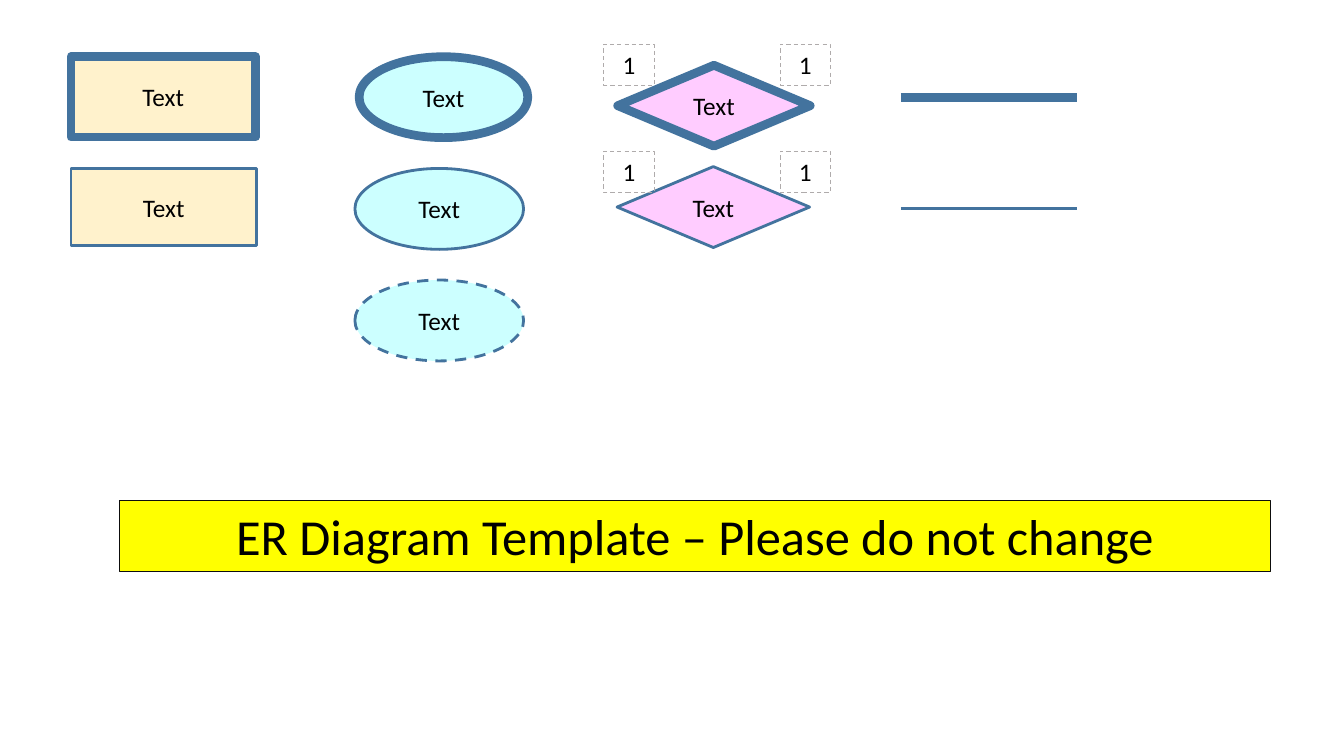
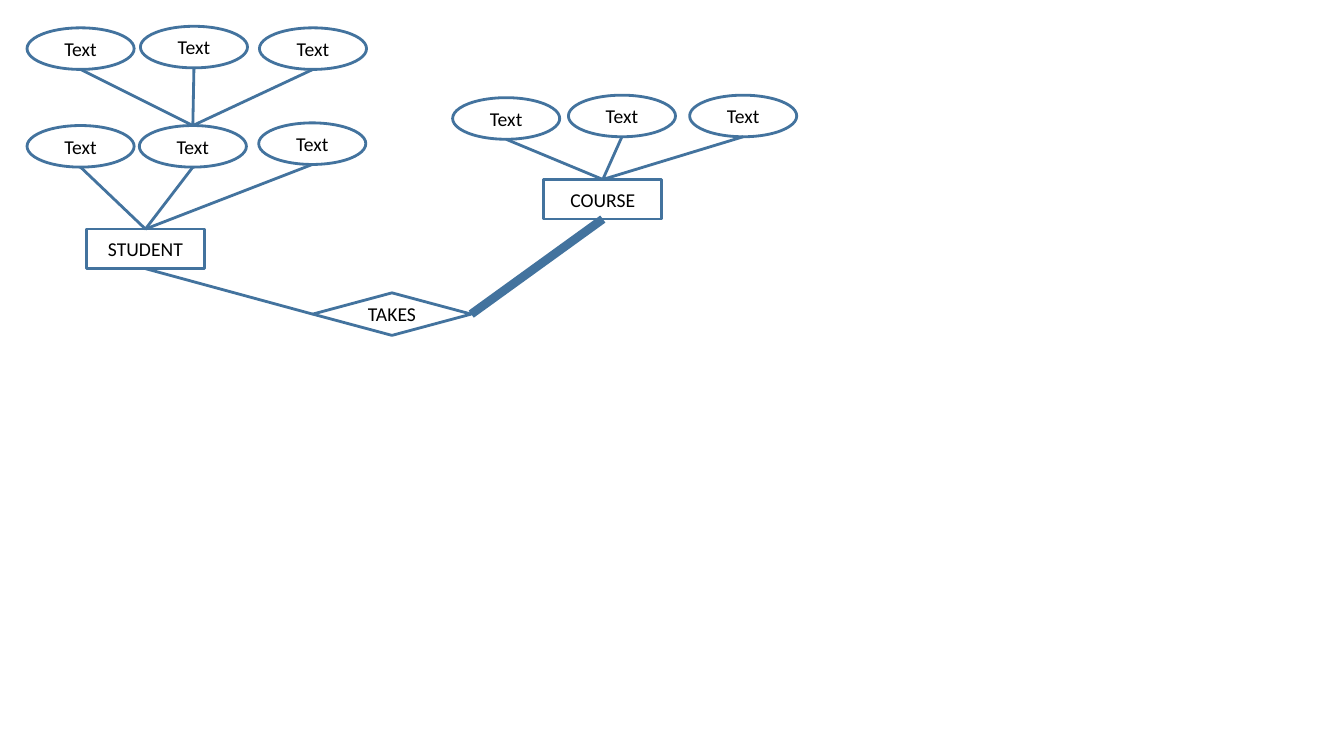
import pptx
import pptx.util
import pptx.dml.color
import pptx.enum.dml
import pptx.enum.shapes
import pptx.enum.text
import pptx.oxml.ns
import lxml.etree

Pt = pptx.util.Pt
SHAPE = pptx.enum.shapes.MSO_SHAPE
ANCHOR = pptx.enum.text.MSO_ANCHOR

FONT = "Calibri"
INK = "000000"
OUTLINE = "43739E"
ENTITY_FILL = "FFF2CC"
ATTRIBUTE_FILL = "CCFFFF"
RELATION_FILL = "FFCCFF"
NOTICE_FILL = "FFFF00"
NOTICE_EDGE = "0D0D0D"
LABEL_EDGE = "AFABAB"
THIN, THICK, HAIR = 2, 6.25, 0.75
TOP, LEFT, BOTTOM, RIGHT = range(4)

ATTRIBUTE_SIZE = (76.5, 29.7)
ENTITY_SIZE = (84.4, 28.3)
RELATION_SIZE = (113.2, 30.4)


def rgb(color):
    return pptx.dml.color.RGBColor.from_string(color)


def write_text(shape, text, font_size=18, color=INK, anchor=ANCHOR.MIDDLE):
    frame = shape.text_frame
    frame.word_wrap = True
    frame.vertical_anchor = anchor
    paragraph = frame.paragraphs[0]
    paragraph.alignment = pptx.enum.text.PP_ALIGN.CENTER
    run = paragraph.add_run()
    run.text = text
    run.font.name = FONT
    run.font.size = Pt(font_size)
    run.font.color.rgb = rgb(color)


def style_line(line, color, width, dashed=False):
    line.color.rgb = rgb(color)
    line.width = Pt(width)
    if dashed:
        line.dash_style = pptx.enum.dml.MSO_LINE.DASH


def add_node(shapes, kind, place, size, text, fill=None, edge=OUTLINE,
             weight=THIN, dashed=False, **text_format):
    node = shapes.add_shape(kind, *map(Pt, place + size))
    node.shadow.inherit = False
    if fill:
        node.fill.solid()
        node.fill.fore_color.rgb = rgb(fill)
    else:
        node.fill.background()
    style_line(node.line, edge, weight, dashed)
    write_text(node, text, **text_format)
    return node


def add_link(shapes, start, end, weight=THIN):
    link = shapes.add_connector(
        pptx.enum.shapes.MSO_CONNECTOR.STRAIGHT, *start, *end)
    style_line(link.line, OUTLINE, weight)
    lxml.etree.SubElement(link._element.spPr, pptx.oxml.ns.qn("a:effectLst"))
    return link


def bottom_center(node):
    return node.left + node.width // 2, node.top + node.height


def join(shapes, first, first_side, second, second_side, weight=THIN):
    link = add_link(shapes, (0, 0), (0, 0), weight)
    link.begin_connect(first, first_side)
    link.end_connect(second, second_side)


def add_attributes(shapes, owner, places):
    attributes = []
    for place in places:
        attribute = add_node(shapes, SHAPE.OVAL, place, ATTRIBUTE_SIZE,
                             "Text", font_size=14)
        link = add_link(shapes, (0, 0), bottom_center(attribute))
        link.begin_connect(owner, TOP)
        attributes.append(attribute)
    return attributes


def add_relation_sample(slide, place, label_top, weight):
    sample = slide.shapes.add_group_shape().shapes
    add_node(sample, SHAPE.FLOWCHART_DECISION, place, (137.5, 57.8), "Text",
             fill=RELATION_FILL, weight=weight)
    for label_left in (557.3, 431.3):
        add_node(sample, SHAPE.RECTANGLE, (label_left, label_top), (36, 29.1),
                 "1", edge=LABEL_EDGE, weight=HAIR, dashed=True,
                 anchor=ANCHOR.TOP)


def build_legend(slide):
    shapes = slide.shapes
    for place, size, weight in (((50.7, 40.5), (131.8, 57.5), THICK),
                                ((50.7, 120.3), (132.4, 55.3), THIN)):
        add_node(shapes, SHAPE.RECTANGLE, place, size, "Text",
                 fill=ENTITY_FILL, weight=weight)
    for place, weight, dashed in (((256.5, 40.5), THICK, False),
                                  ((253.5, 120.3), THIN, False),
                                  ((253.5, 200), THIN, True)):
        add_node(shapes, SHAPE.OVAL, place, (120.5, 57.8), "Text",
                 fill=ATTRIBUTE_FILL, weight=weight, dashed=dashed)
    for level, weight in ((69.4, THICK), (149.2, THIN)):
        add_link(shapes, (Pt(643.5), Pt(level)), (Pt(769.5), Pt(level)),
                 weight)
    add_node(shapes, SHAPE.RECTANGLE, (85.5, 357.6), (822.2, 51),
             "ER Diagram Template – Please do not change", fill=NOTICE_FILL,
             edge=NOTICE_EDGE, weight=HAIR, font_size=36, anchor=ANCHOR.TOP)
    add_relation_sample(slide, (441.2, 46.6), 31.7, THICK)
    add_relation_sample(slide, (440.8, 119), 108.2, THIN)


def build_diagram(slide):
    shapes = slide.shapes
    student = add_node(shapes, SHAPE.RECTANGLE, (61.7, 163.6), ENTITY_SIZE,
                       "STUDENT", font_size=14)
    course = add_node(shapes, SHAPE.RECTANGLE, (388.4, 128.2), ENTITY_SIZE,
                      "COURSE", font_size=14)
    takes = add_node(shapes, SHAPE.FLOWCHART_DECISION, (223.4, 209.2),
                     RELATION_SIZE, "TAKES", font_size=14)
    composite = add_attributes(
        shapes, student, ((99.5, 89.7), (184.8, 87.8), (19.3, 89.7)))[0]
    add_attributes(shapes, composite,
                   ((100.3, 18.8), (185.3, 19.9), (19.3, 19.9)))
    add_attributes(shapes, course,
                   ((406, 68), (492.6, 68), (323.3, 69.8)))
    join(shapes, takes, RIGHT, course, BOTTOM, THICK)
    join(shapes, student, BOTTOM, takes, LEFT)


def main():
    deck = pptx.Presentation()
    deck.slide_width, deck.slide_height = Pt(960), Pt(540)
    blank = deck.slide_layouts[6]
    for build in (build_legend, build_diagram):
        build(deck.slides.add_slide(blank))
    deck.save("out.pptx")


main()
